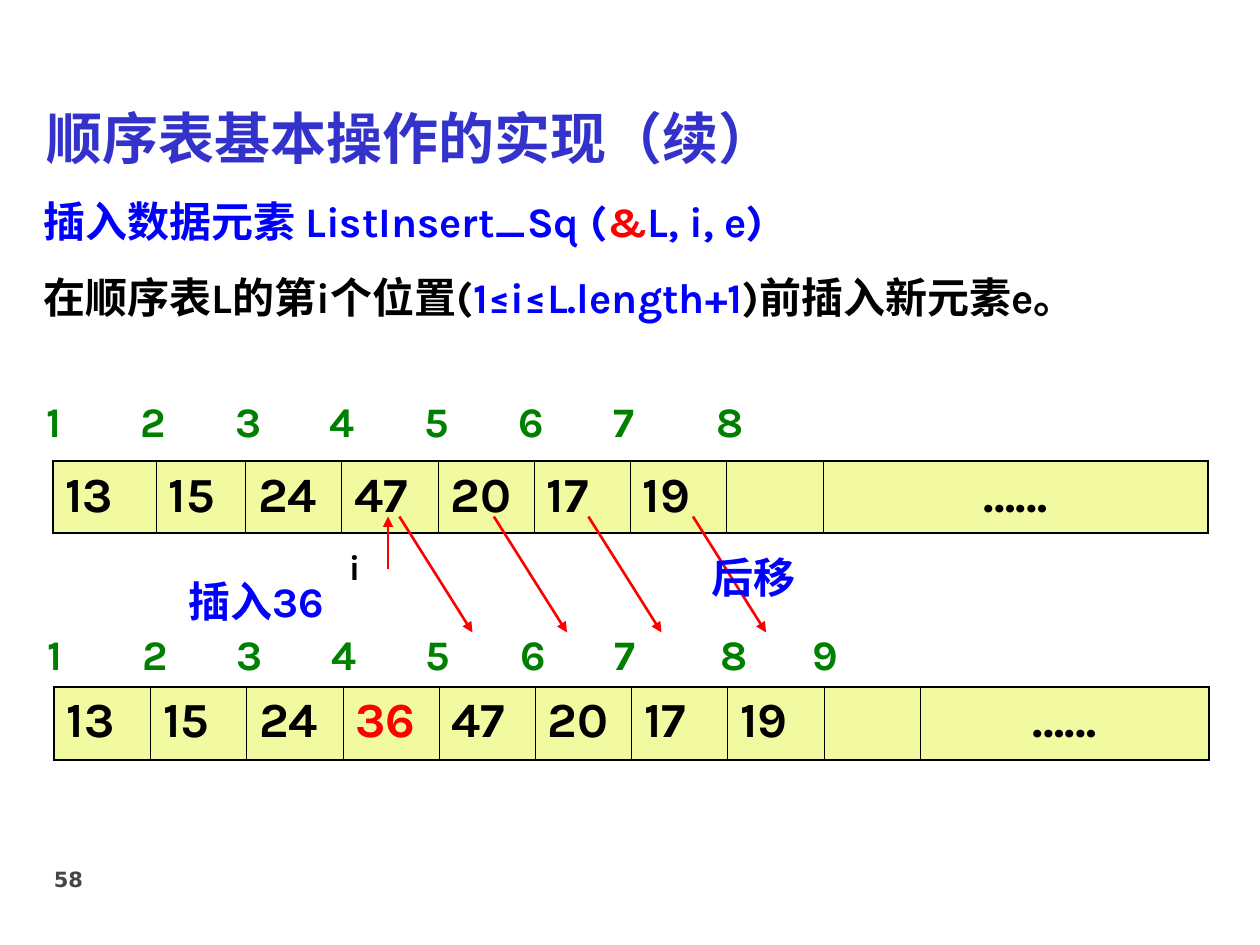
from dataclasses import dataclass

from lxml import etree
from pptx import Presentation
from pptx.dml.color import RGBColor
from pptx.enum.shapes import MSO_CONNECTOR
from pptx.enum.text import MSO_ANCHOR, PP_ALIGN
from pptx.oxml.ns import qn
from pptx.util import Inches, Pt

LINE = MSO_CONNECTOR.STRAIGHT
MIDDLE = MSO_ANCHOR.MIDDLE
TOP = MSO_ANCHOR.TOP
CENTER = PP_ALIGN.CENTER
HAN = "Noto Sans CJK SC"
COLORS = {
    "black": "000000",
    "blue": "0000FF",
    "red": "FF0000",
    "green": "008000",
    "title": "3333CC",
    "gray": "464646",
    "cell": "F1F9A1",
}
WIDTH = 9.17
STEP = WIDTH / 12
PITCH = 0.75


@dataclass
class Part:
    text: str
    color: str


@dataclass
class Label:
    left: float
    top: float
    width: float
    height: float
    lines: list[list[Part]]
    size: float = 24
    font: str = "Karla"
    anchor: int = TOP


@dataclass
class Row:
    left: float
    top: float
    height: float
    widths: list[float]
    values: list[str]
    fresh: str = ""


@dataclass
class Arrow:
    x1: float
    y1: float
    x2: float
    y2: float


def shade(name: str) -> RGBColor:
    return RGBColor.from_string(COLORS[name])


def style(run, font: str, size: float, color: str) -> None:
    run.font.name = font
    run.font.size = Pt(size)
    run.font.bold = True
    run.font.color.rgb = shade(color)


def draw_label(slide, label: Label) -> None:
    box = slide.shapes.add_textbox(
        Inches(label.left), Inches(label.top), Inches(label.width), Inches(label.height)
    )
    frame = box.text_frame
    frame.word_wrap = True
    frame.vertical_anchor = label.anchor
    for n, line in enumerate(label.lines):
        para = frame.add_paragraph() if n else frame.paragraphs[0]
        if n:
            para.space_before = Pt(15)
        for part in line:
            run = para.add_run()
            run.text = part.text
            style(run, label.font, label.size, part.color)
            east = etree.SubElement(run.font._element, qn("a:ea"))
            east.set("typeface", HAN)


def draw_edge(cell, side: str, width: float) -> None:
    props = cell._tc.get_or_add_tcPr()
    edge = etree.SubElement(props, qn(f"a:ln{side}"), w=str(Pt(width)))
    fill = etree.SubElement(edge, qn("a:solidFill"))
    etree.SubElement(fill, qn("a:srgbClr"), val=COLORS["black"])


def draw_row(slide, row: Row) -> None:
    count = len(row.values)
    table = slide.shapes.add_table(
        1, count, Inches(row.left), Inches(row.top), Inches(WIDTH), Inches(row.height)
    ).table
    table.first_row = False
    table.horz_banding = False
    for n, (width, value) in enumerate(zip(row.widths, row.values)):
        table.columns[n].width = Inches(width)
        cell = table.cell(0, n)
        draw_edge(cell, "L", 0.45 if n else 1.08)
        draw_edge(cell, "R", 0.45 if n < count - 1 else 1.08)
        draw_edge(cell, "T", 1.08)
        draw_edge(cell, "B", 1.08)
        cell.fill.solid()
        cell.fill.fore_color.rgb = shade("cell")
        if not value:
            continue
        cell.text_frame.text = value
        para = cell.text_frame.paragraphs[0]
        if n == count - 1:
            para.alignment = CENTER
        style(para.runs[0], "Karla", 28, "red" if value == row.fresh else "black")


def draw_arrow(slide, arrow: Arrow) -> None:
    link = slide.shapes.add_connector(
        LINE, Inches(arrow.x1), Inches(arrow.y1), Inches(arrow.x2), Inches(arrow.y2)
    )
    link.line.color.rgb = shade("red")
    link.line.width = Pt(1.5)
    etree.SubElement(link.line._get_or_add_ln(), qn("a:tailEnd"), type="triangle")
    etree.SubElement(link._element.spPr, qn("a:effectLst"))


def draw_marks(slide, top: float, lefts: list[float]) -> None:
    for n, left in enumerate(lefts, 1):
        draw_label(slide, Label(left, top, 1.14, 0.5, [[Part(str(n), "green")]]))


def main() -> None:
    deck = Presentation()
    deck.slide_width = Inches(10)
    deck.slide_height = Inches(7.5)
    slide = deck.slides.add_slide(deck.slide_layouts[6])

    intro = [
        [
            Part("插入数据元素 ListInsert_Sq (", "blue"),
            Part("&", "red"),
            Part("L, i, e)", "blue"),
        ],
        [
            Part("在顺序表L的第i个位置(", "black"),
            Part("1≤i≤L.length+1", "blue"),
            Part(")前插入新元素e。", "black"),
        ],
    ]
    title = [[Part("顺序表基本操作的实现（续）", "title")]]
    draw_label(slide, Label(0.33, 6.83, 2.5, 0.52, [[Part("58", "gray")]], 12, "DejaVu Sans"))
    draw_label(slide, Label(0.27, 0.68, 8.59, 0.82, title, 32, "Arial", MIDDLE))
    draw_label(slide, Label(0.25, 1.5, 9.42, 1.51, intro))

    old = ["13", "15", "24", "47", "20", "17", "19"]
    new = old[:3] + ["36"] + old[3:]
    rest = ["", "……"]
    first = 0.82
    wide = [first, 2 * STEP - first] + [STEP] * 6 + [4 * STEP]
    even = [STEP] * 9 + [3 * STEP]
    draw_row(slide, Row(0.42, 3.66, 0.57, wide, old + rest))
    draw_row(slide, Row(0.43, 5.45, 0.58, even, new + rest, "36"))

    draw_marks(slide, 3.09, [0.27 + PITCH * n for n in range(7)] + [5.59])
    draw_marks(slide, 4.94, [0.28 + PITCH * n for n in range(7)] + [5.62, 6.35])

    draw_arrow(slide, Arrow(3.08, 4.52, 3.08, 4.1))
    for left in (3.17, 3.92, 4.67, 5.5):
        draw_arrow(slide, Arrow(left, 4.1, left + 0.58, 5.02))

    draw_label(slide, Label(1.4, 4.52, 2, 0.5, [[Part("插入36", "blue")]]))
    draw_label(slide, Label(2.67, 4.28, 1.03, 0.44, [[Part("i", "black")]], 20))
    draw_label(slide, Label(5.55, 4.33, 1.61, 0.5, [[Part("后移", "blue")]], font=HAN))
    deck.save("out.pptx")


if __name__ == "__main__":
    main()
